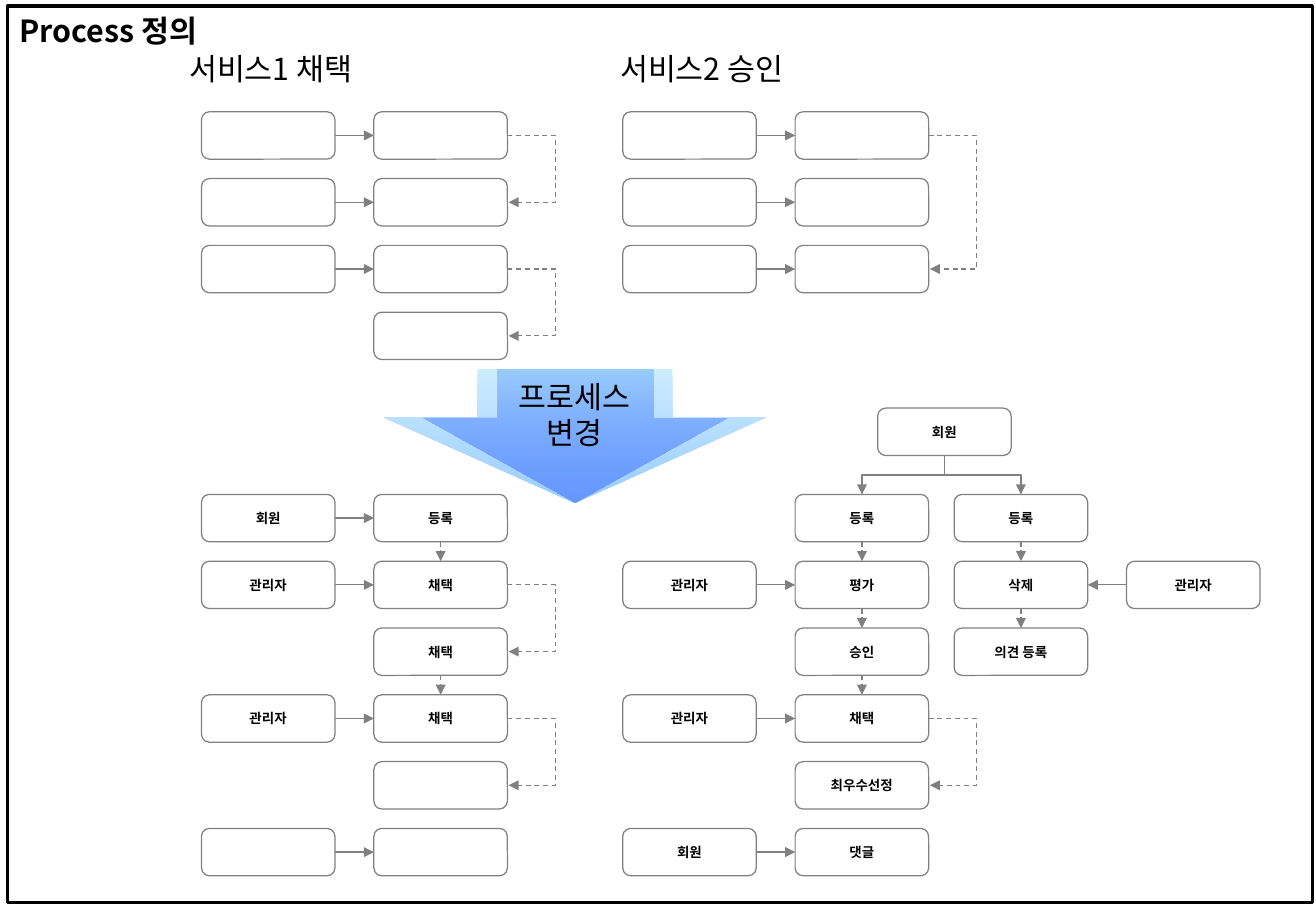
from lxml import etree
from pptx import Presentation
from pptx import util as u
from pptx.dml.color import RGBColor
from pptx.enum import dml, shapes, text
from pptx.oxml.ns import qn

PX = 9144
BLACK = RGBColor(0x00, 0x00, 0x00)
WHITE = RGBColor(0xFF, 0xFF, 0xFF)
GRAY = RGBColor(0x80, 0x80, 0x80)
PALE = RGBColor(0xCC, 0xEC, 0xFF)
SKY = RGBColor(0x99, 0xCC, 0xFF)
BLUE = RGBColor(0x33, 0x66, 0xFF)
FONT = "Noto Sans CJK KR"
BOX_W, BOX_H = 110, 39
COLUMN_STEP, ROW_STEP = 142, 55
RETURN_REACH = 40
TOP, LEFT, BOTTOM, RIGHT = range(4)


def px(*lengths):
    return [length * PX for length in lengths]


def write(frame, lines, size, bold=False, align=text.PP_ALIGN.LEFT,
          anchor=text.MSO_ANCHOR.MIDDLE, insets=(10, 5), wrap=False):
    frame.word_wrap = wrap
    frame.vertical_anchor = anchor
    frame.margin_left = frame.margin_right = insets[0] * PX
    frame.margin_top = frame.margin_bottom = insets[1] * PX
    for index, line in enumerate(lines):
        para = frame.add_paragraph() if index else frame.paragraphs[0]
        para.alignment = align
        span = para.add_run()
        span.text = line
        span.font.size = u.Pt(size)
        span.font.bold = bold
        span.font.name = FONT
        span.font.color.rgb = BLACK
        east_asian = etree.SubElement(span.font._element, qn("a:ea"))
        east_asian.set("typeface", FONT)


def add_title(page, left, top, width, height):
    title = page.shapes.title
    title.left, title.top, title.width, title.height = px(left, top, width, height)
    title.line.color.rgb = BLACK
    title.line.width = u.Pt(2)
    write(title.text_frame, ["Process 정의"], 18, bold=True,
          anchor=text.MSO_ANCHOR.TOP, wrap=True)
    title.text_frame.auto_size = text.MSO_AUTO_SIZE.NONE


def add_heading(page, left, top, label):
    heading = page.shapes.add_textbox(*px(left, top, 173, 40))
    write(heading.text_frame, [label], 18)
    heading.text_frame.auto_size = text.MSO_AUTO_SIZE.SHAPE_TO_FIT_TEXT


def add_box(page, left, top, label):
    box = page.shapes.add_shape(shapes.MSO_SHAPE.ROUNDED_RECTANGLE,
                                *px(left, top, BOX_W, BOX_H))
    box.shadow.inherit = False
    box.fill.solid()
    box.fill.fore_color.rgb = WHITE
    box.line.color.rgb = GRAY
    box.line.width = u.Pt(0.75)
    if label:
        write(box.text_frame, [label], 8, bold=True,
              align=text.PP_ALIGN.CENTER, insets=(4, 4))
    return box


def link(page, start, start_side, end, end_side, dashed=False,
         kind=shapes.MSO_CONNECTOR.STRAIGHT):
    arrow = page.shapes.add_connector(kind, 0, 0, 0, 0)
    arrow.begin_connect(start, start_side)
    arrow.end_connect(end, end_side)
    arrow.line.color.rgb = GRAY
    arrow.line.width = u.Pt(0.75)
    if dashed:
        arrow.line.dash_style = dml.MSO_LINE.DASH
    etree.SubElement(arrow.line._get_or_add_ln(), qn("a:tailEnd")).set("type", "triangle")
    etree.SubElement(arrow._element.spPr, qn("a:effectLst"))
    return arrow


def set_bend(arrow, share):
    guides = arrow._element.spPr.find(qn("a:prstGeom")).get_or_add_avLst()
    guide = etree.SubElement(guides, qn("a:gd"))
    guide.set("name", "adj1")
    guide.set("fmla", f"val {share}")


def link_return(page, start, end):
    arrow = link(page, start, RIGHT, end, RIGHT, True, shapes.MSO_CONNECTOR.ELBOW)
    arrow.end_x = arrow.begin_x + PX
    arrow._element.spPr.find(qn("a:xfrm")).set("flipH", "0")
    set_bend(arrow, RETURN_REACH * 100000)


def link_branch(page, start, end):
    arrow = link(page, start, BOTTOM, end, TOP, kind=shapes.MSO_CONNECTOR.ELBOW)
    to_left = arrow.end_x < arrow.begin_x
    across, down = arrow.width, arrow.height
    center_x, center_y = arrow.left + across // 2, arrow.top + down // 2
    arrow.left, arrow.top = center_x - down // 2, center_y - across // 2
    arrow.width, arrow.height = down, across
    frame = arrow._element.spPr.find(qn("a:xfrm"))
    frame.set("rot", str((90 if to_left else 270) * 60000))
    frame.set("flipH", "0" if to_left else "1")
    set_bend(arrow, 50000)


def add_flow(page, left, top, rows, downs=(), returns=(), actor_shift=-COLUMN_STEP):
    steps = []
    sides = (RIGHT, LEFT) if actor_shift < 0 else (LEFT, RIGHT)
    for index, (actor, step) in enumerate(rows):
        row_top = top + index * ROW_STEP
        step_box = add_box(page, left, row_top, step)
        steps.append(step_box)
        if actor is not None:
            actor_box = add_box(page, left + actor_shift, row_top, actor)
            link(page, actor_box, sides[0], step_box, sides[1])
    for index in downs:
        link(page, steps[index], BOTTOM, steps[index + 1], TOP, dashed=True)
    for first, last in returns:
        link_return(page, steps[first], steps[last])
    return steps


def add_change_arrow(page, left, top, width, height):
    group = page.shapes.add_group_shape()
    inset = 31
    for margin, upper, lower in ((0, PALE, SKY), (inset, SKY, BLUE)):
        arrow = group.shapes.add_shape(
            shapes.MSO_SHAPE.DOWN_ARROW,
            *px(left + margin, top, width - 2 * margin, height))
        arrow.shadow.inherit = False
        arrow.adjustments[0], arrow.adjustments[1] = 0.51, 0.64
        arrow.line.fill.background()
        arrow.fill.gradient()
        arrow.fill.gradient_angle = 270
        for stop, color in zip(arrow.fill.gradient_stops, (upper, lower)):
            stop.color.rgb = color
    last_color = arrow._element.spPr.findall(".//" + qn("a:srgbClr"))[-1]
    etree.SubElement(last_color, qn("a:alpha")).set("val", "50000")
    write(arrow.text_frame, ["프로세스", "변경"], 18,
          align=text.PP_ALIGN.CENTER, insets=(4, 4))


def add_process_page(deck):
    page = deck.slides.add_slide(deck.slide_layouts[5])
    add_title(page, 6, 5, 1075, 738)
    add_heading(page, 146, 36, "서비스1 채택")
    add_heading(page, 501, 36, "서비스2 승인")
    add_flow(page, 308, 92, [("", "")] * 3 + [(None, "")], returns=[(0, 1), (2, 3)])
    add_flow(page, 655, 92, [("", "")] * 3, returns=[(0, 2)])
    add_change_arrow(page, 316, 304, 315, 110)
    add_flow(page, 308, 407,
             [("회원", "등록"), ("관리자", "채택"), (None, "채택"),
              ("관리자", "채택"), (None, ""), ("", "")],
             downs=[0, 2], returns=[(1, 2), (3, 4)])
    approval = add_flow(page, 655, 407,
                        [(None, "등록"), ("관리자", "평가"), (None, "승인"),
                         ("관리자", "채택"), (None, "최우수선정"), ("회원", "댓글")],
                        downs=[0, 1, 2], returns=[(3, 4)])
    opinion = add_flow(page, 786, 407,
                       [(None, "등록"), ("관리자", "삭제"), (None, "의견 등록")],
                       downs=[0, 1], actor_shift=COLUMN_STEP)
    member = add_box(page, 723, 336, "회원")
    for branch in (approval, opinion):
        link_branch(page, member, branch[0])


def main():
    deck = Presentation()
    deck.slide_width, deck.slide_height = px(1084, 750)
    add_process_page(deck)
    deck.save("out.pptx")


if __name__ == "__main__":
    main()
